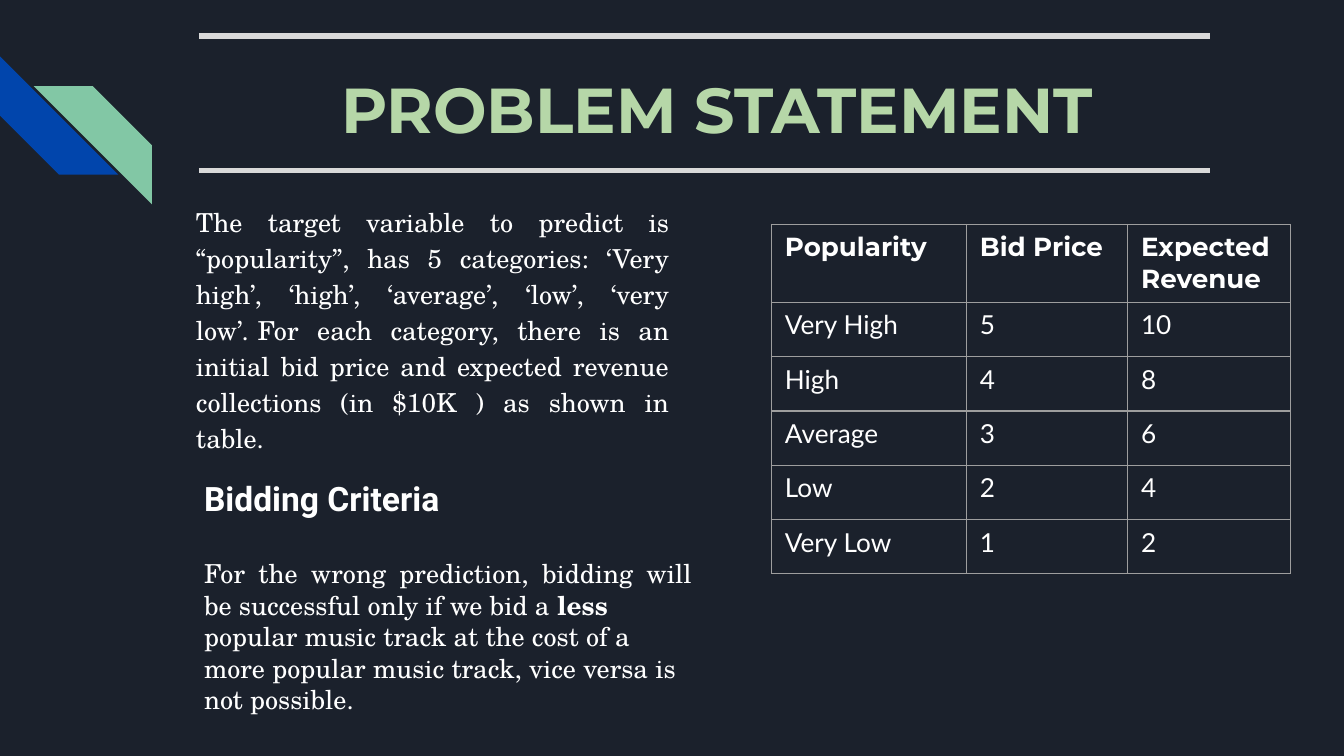
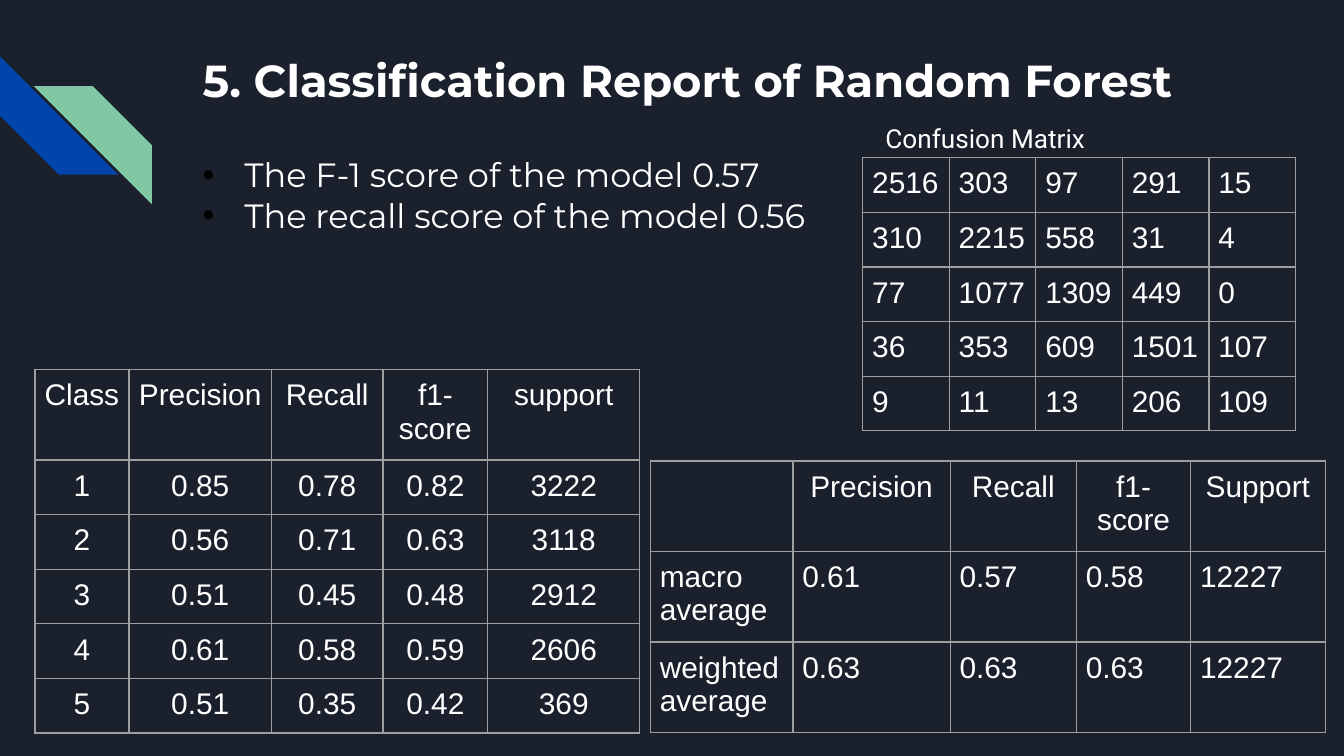
"""Build two slides: the problem statement and the random forest report."""
from dataclasses import dataclass

from lxml import etree
from pptx import Presentation
from pptx import util as u
from pptx.dml.color import RGBColor
from pptx.enum import shapes, text
from pptx.oxml import ns

LEFT, CENTER, JUSTIFY = (text.PP_ALIGN.LEFT, text.PP_ALIGN.CENTER,
                         text.PP_ALIGN.JUSTIFY)


@dataclass(frozen=True)
class Theme:
    """Colours and type styles of the deck."""
    night: str = "1B212C"
    blue: str = "0145AC"
    green: str = "82C7A5"
    lime: str = "B6D7A8"
    white: str = "FFFFFF"
    rule: str = "D9D9D9"
    grid: str = "9E9E9E"
    bullet: str = "000000"

    banner = dict(name="Montserrat", size=u.Pt(34), bold=True)
    title = dict(name="Montserrat", size=u.Pt(24), bold=True)
    points = dict(name="Montserrat", size=u.Pt(18), bold=False)
    heading = dict(name="Roboto", size=u.Pt(18), bold=True)
    caption = dict(name="Roboto", size=u.Pt(14), bold=False)
    prose = dict(name="TeX Gyre Schola", size=u.Pt(14), bold=False)
    strong = dict(name="TeX Gyre Schola", size=u.Pt(14), bold=True)
    bid_head = dict(name="Montserrat", size=u.Pt(14), bold=True)
    bid_cell = dict(name="Lato", size=u.Pt(14), bold=False)
    score = dict(name="Arial", size=u.Pt(16), bold=False)


THEME = Theme()
SLIDE_WIDTH = 10
SLIDE_HEIGHT = SLIDE_WIDTH * 9 / 16

STRIPES = [(0, 0.42, 270, THEME.blue), (0.25, 0.64, 90, THEME.green)]
STRIPE_SIDE = 0.88
TITLE_RULES = [0.27, 1.27]
RULE_SPAN = (1.48, 9)

HARD_SPACE = chr(160)
TARGET = HARD_SPACE.join([
    "The target variable to predict is “popularity”, has 5 categories: "
    "‘Very high’, ‘high’, ‘average’, ‘low’, ‘very low’.",
    "For each category, there is an initial bid price and expected revenue "
    "collections (in $10K ) as shown in table."])
CRITERIA = [
    dict(runs=[("Bidding Criteria", THEME.heading)], space_after=u.Pt(21)),
    dict(runs=[("For the wrong prediction, bidding will be successful only "
                "if we bid a", THEME.prose), (" less", THEME.strong)],
         alignment=JUSTIFY),
    dict(runs=[("popular music track at the cost of a more popular music "
                "track, vice versa is not possible.", THEME.prose)]),
]
SCORES = ["The F-1 score of the model 0.57", "The recall score of the model 0.56"]

BIDS = dict(
    at=(5.74, 1.67), height=2.6, header=0.58, insets=(0.1, 0.05),
    columns=[1.45, 1.2, 1.21], styles=(THEME.bid_head, THEME.bid_cell),
    alignments=(LEFT, LEFT),
    rows=[("Popularity", "Bid Price", "Expected Revenue"),
          ("Very High", 5, 10), ("High", 4, 8), ("Average", 3, 6),
          ("Low", 2, 4), ("Very Low", 1, 2)])
CLASSES = dict(
    at=(0.26, 2.75), height=2.7, header=0.67, insets=(0.07, 0.07),
    columns=[0.7, 1.06, 0.83, 0.78, 1.13], styles=(THEME.score, THEME.score),
    alignments=(CENTER, CENTER),
    rows=[("Class", "Precision", "Recall", "f1-score", "support"),
          (1, 0.85, 0.78, 0.82, 3222), (2, 0.56, 0.71, 0.63, 3118),
          (3, 0.51, 0.45, 0.48, 2912), (4, 0.61, 0.58, 0.59, 2606),
          (5, 0.51, 0.35, 0.42, 369)])
AVERAGES = dict(
    at=(4.84, 3.43), height=2.02, header=0.67, insets=(0.07, 0.07),
    columns=[1.06, 1.17, 0.94, 0.85, 1], styles=(THEME.score, THEME.score),
    alignments=(CENTER, LEFT),
    rows=[("", "Precision", "Recall", "f1-score", "Support"),
          ("macro average", 0.61, 0.57, 0.58, 12227),
          ("weighted average", 0.63, 0.63, 0.63, 12227)])
CONFUSION = dict(
    at=(6.42, 1.17), height=2.03, header=0.41, insets=(0.07, 0.07),
    columns=[3.22 / 5] * 5, styles=(THEME.score, THEME.score),
    alignments=(LEFT, LEFT),
    rows=[(2516, 303, 97, 291, 15), (310, 2215, 558, 31, 4),
          (77, 1077, 1309, 449, 0), (36, 353, 609, 1501, 107),
          (9, 11, 13, 206, 109)])


def rgb(color):
    return RGBColor.from_string(color)


def assign(target, values):
    for key, value in values.items():
        setattr(target, key, value)


def add_run(paragraph, words, style, color=THEME.white):
    run = paragraph.add_run()
    run.text = words
    assign(run.font, style)
    run.font.color.rgb = rgb(color)


def add_text(slide, box, paragraphs, inset=0.05, color=THEME.white):
    frame = slide.shapes.add_textbox(*map(u.Inches, box)).text_frame
    assign(frame, dict(word_wrap=True, margin_top=u.Inches(inset),
                       margin_bottom=u.Inches(inset)))
    for index, entry in enumerate(paragraphs):
        paragraph = frame.add_paragraph() if index else frame.paragraphs[0]
        assign(paragraph, {k: v for k, v in entry.items() if k != "runs"})
        for words, style in entry["runs"]:
            add_run(paragraph, words, style, color)
    return frame


def add_bullets(frame, indent):
    for paragraph in frame.paragraphs:
        properties = paragraph._p.get_or_add_pPr()
        properties.set("marL", str(u.Inches(indent)))
        properties.set("indent", str(-u.Inches(indent)))
        tint = etree.SubElement(properties, ns.qn("a:buClr"))
        etree.SubElement(tint, ns.qn("a:srgbClr"), val=THEME.bullet)
        etree.SubElement(properties, ns.qn("a:buFont"), typeface="Arial")
        etree.SubElement(properties, ns.qn("a:buChar"), char="•")


def add_borders(cell):
    properties = cell._tc.get_or_add_tcPr()
    for index, side in enumerate("LRTB"):
        line = etree.Element(ns.qn(f"a:ln{side}"), w=str(u.Pt(0.75)))
        fill = etree.SubElement(line, ns.qn("a:solidFill"))
        etree.SubElement(fill, ns.qn("a:srgbClr"), val=THEME.grid)
        properties.insert(index, line)


def add_table(slide, report):
    rows, columns = report["rows"], report["columns"]
    box = (*report["at"], sum(columns), report["height"])
    table = slide.shapes.add_table(len(rows), len(columns),
                                   *map(u.Inches, box)).table
    assign(table, dict(first_row=False, horz_banding=False))
    for column, width in zip(table.columns, columns):
        column.width = u.Inches(width)
    body_height = (report["height"] - report["header"]) / (len(rows) - 1)
    across, down = map(u.Inches, report["insets"])
    margins = dict(margin_left=across, margin_right=across,
                   margin_top=down, margin_bottom=down)
    for r, values in enumerate(rows):
        part = min(r, 1)
        table.rows[r].height = u.Inches(body_height if r else report["header"])
        for c, value in enumerate(values):
            cell = table.cell(r, c)
            assign(cell, margins)
            cell.fill.background()
            add_borders(cell)
            paragraph = cell.text_frame.paragraphs[0]
            paragraph.alignment = report["alignments"][part]
            if value != "":
                add_run(paragraph, str(value), report["styles"][part])


def add_rule(slide, y):
    start, end = RULE_SPAN
    rule = slide.shapes.add_connector(
        shapes.MSO_CONNECTOR.STRAIGHT, *map(u.Inches, (start, y, end, y)))
    rule.line.color.rgb = rgb(THEME.rule)
    rule.line.width = u.Pt(3)
    etree.SubElement(rule._element.spPr, ns.qn("a:effectLst"))


def add_slide(deck):
    slide = deck.slides.add_slide(deck.slide_layouts[6])
    slide.background.fill.solid()
    slide.background.fill.fore_color.rgb = rgb(THEME.night)
    for left, top, rotation, color in STRIPES:
        stripe = slide.shapes.add_shape(
            shapes.MSO_SHAPE.DIAGONAL_STRIPE,
            *map(u.Inches, (left, top, STRIPE_SIDE, STRIPE_SIDE)))
        stripe.rotation = rotation
        stripe.shadow.inherit = False
        stripe.fill.solid()
        stripe.fill.fore_color.rgb = rgb(color)
        stripe.line.fill.background()
    return slide


def build_problem(deck):
    slide = add_slide(deck)
    add_text(slide, (1.01, 0.42, 8.65, 0.98),
             [dict(runs=[("PROBLEM STATEMENT", THEME.banner)], alignment=CENTER)],
             inset=0.1, color=THEME.lime)
    add_text(slide, (1.36, 1.4, 3.72, 2.02),
             [dict(runs=[(TARGET, THEME.prose)], alignment=JUSTIFY,
                   line_spacing=1.15)], inset=0.1)
    for y in TITLE_RULES:
        add_rule(slide, y)
    add_table(slide, BIDS)
    add_text(slide, (1.42, 3.51, 3.83, 1.88), CRITERIA)


def build_report(deck):
    slide = add_slide(deck)
    add_text(slide, (1.41, 0.29, 7.7, 1),
             [dict(runs=[("5. Classification Report of Random Forest",
                          THEME.title)])], inset=0.1)
    scores = add_text(slide, (1.41, 1.1, 4.99, 0.94),
                      [dict(runs=[(score, THEME.points)]) for score in SCORES])
    add_bullets(scores, 0.31)
    for report in (CLASSES, AVERAGES, CONFUSION):
        add_table(slide, report)
    add_text(slide, (6.49, 0.86, 3, 0.34),
             [dict(runs=[("Confusion Matrix", THEME.caption)])])


def main():
    deck = Presentation()
    assign(deck, dict(slide_width=u.Inches(SLIDE_WIDTH),
                      slide_height=u.Inches(SLIDE_HEIGHT)))
    build_problem(deck)
    build_report(deck)
    deck.save("out.pptx")


if __name__ == "__main__":
    main()
